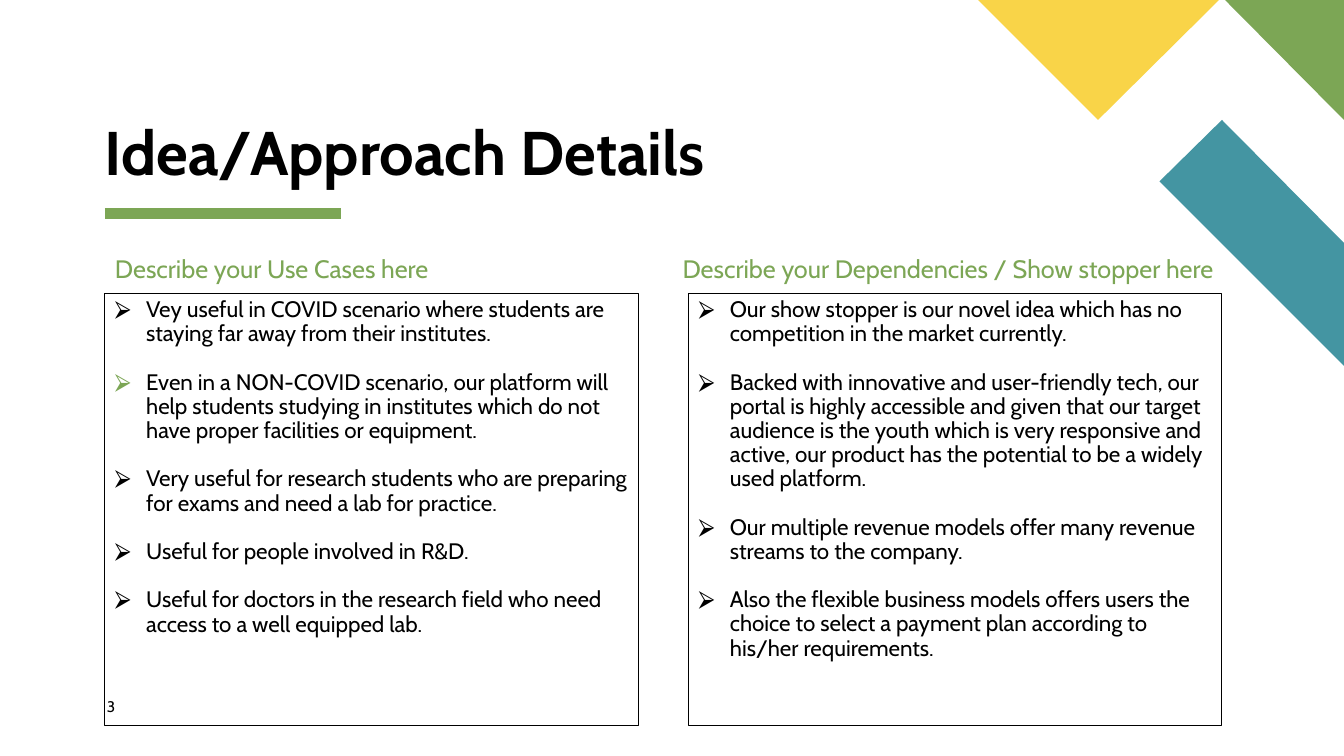
from lxml.etree import SubElement
from pptx import Presentation
from pptx.dml.color import RGBColor
from pptx.enum.shapes import MSO_CONNECTOR
from pptx.enum.text import MSO_ANCHOR, MSO_AUTO_SIZE, PP_ALIGN
from pptx.oxml.ns import qn
from pptx.util import Inches, Pt

BLACK = RGBColor(0x00, 0x00, 0x00)
GREEN = RGBColor(0x7C, 0xA6, 0x55)
TEAL = RGBColor(0x44, 0x95, 0xA2)
YELLOW = RGBColor(0xF9, 0xD4, 0x48)
FONT = "Cabin"

TITLE = "Idea/Approach Details"
PAGE_NUMBER = "3"
# Each column: box left, heading left, heading width, heading, (bullet colour, text) items
COLUMNS = [
    (1.04, 1.04, 5.29, "Describe your Use Cases here", [
        (BLACK, "Vey useful in COVID scenario where students are staying far away "
                "from their institutes."),
        (GREEN, "Even in a NON-COVID scenario, our platform will help students "
                "studying in institutes which do not have proper facilities or equipment."),
        (BLACK, "Very useful for research students who are preparing for exams "
                "and need a lab for practice."),
        (BLACK, "Useful for people involved in R&D."),
        (BLACK, "Useful for doctors in the research field who need access to a "
                "well equipped lab."),
    ]),
    (6.83, 6.67, 5.62, "Describe your Dependencies / Show stopper here", [
        (BLACK, "Our show stopper is our novel idea which has no competition in "
                "the market currently."),
        (BLACK, "Backed with innovative and user-friendly tech, our portal is highly "
                "accessible and given that our target audience is the youth which is "
                "very responsive and active, our product has the potential to be a "
                "widely used platform."),
        (BLACK, "Our multiple revenue models offer many revenue streams to the company."),
        (BLACK, "Also the flexible business models offers users the choice to select "
                "a payment plan according to his/her requirements."),
    ]),
]
CORNER_SHAPES = [
    (TEAL, [(13.33, 3.63), (13.33, 2.41), (12.12, 1.19), (11.5, 1.8)]),
    (GREEN, [(13.33, 1.19), (13.33, 0), (12.15, 0)]),
    (YELLOW, [(9.7, 0), (10.89, 1.19), (12.09, 0)]),
]


def place(shape, left, top, width, height):
    shape.left, shape.top = Inches(left), Inches(top)
    shape.width, shape.height = Inches(width), Inches(height)


def prepare_frame(shape, anchor=MSO_ANCHOR.TOP, inset=(0.1, 0.05)):
    """Set wrapping, anchor and (horizontal, vertical) inset; return the frame."""
    frame = shape.text_frame
    frame.word_wrap = True
    frame.auto_size = MSO_AUTO_SIZE.NONE
    frame.vertical_anchor = anchor
    frame.margin_left = frame.margin_right = Inches(inset[0])
    frame.margin_top = frame.margin_bottom = Inches(inset[1])
    return frame


def write(paragraph, text, size, color, bold=False, line_spacing=0.9):
    paragraph.alignment = PP_ALIGN.LEFT
    paragraph.line_spacing = line_spacing
    paragraph.space_before = Pt(0)
    run = paragraph.add_run()
    run.text = text
    run.font.name, run.font.size, run.font.bold = FONT, Pt(size), bold
    run.font.color.rgb = color


def add_bullet(paragraph, color):
    properties = paragraph._p.get_or_add_pPr()
    properties.set("marL", str(Inches(0.31)))
    properties.set("indent", str(-Inches(0.31)))
    bullet_color = SubElement(properties, qn("a:buClr"))
    SubElement(bullet_color, qn("a:srgbClr"), val=str(color))
    SubElement(properties, qn("a:buChar"), char="⮚")


def add_corner_shape(slide, color, points):
    corners = [(Inches(x), Inches(y)) for x, y in points]
    builder = slide.shapes.build_freeform(*corners[0])
    builder.add_line_segments(corners[1:], close=True)
    shape = builder.convert_to_shape()
    shape.shadow.inherit = False
    shape.fill.solid()
    shape.fill.fore_color.rgb = color
    shape.line.fill.background()


def add_title_rule(slide):
    rule = slide.shapes.add_connector(
        MSO_CONNECTOR.STRAIGHT, Inches(1.04), Inches(2.12), Inches(3.38), Inches(2.12))
    rule.line.color.rgb = GREEN
    rule.line.width = Pt(8)
    SubElement(rule._element.spPr, qn("a:effectLst"))


def fill_column(heading_shape, box, column):
    box_left, heading_left, heading_width, heading, items = column
    place(heading_shape, heading_left, 2.5, heading_width, 0.35)
    write(prepare_frame(heading_shape).paragraphs[0], heading, 18, GREEN)

    place(box, box_left, 2.91, 5.29, 4.29)
    box.line.color.rgb = BLACK
    box.line.width = Pt(0.75)
    frame = prepare_frame(box)
    for index, (bullet_color, text) in enumerate(items):
        paragraph = frame.add_paragraph() if index else frame.paragraphs[0]
        write(paragraph, text, 16, BLACK)
        paragraph.space_after = Pt(17.3)
        add_bullet(paragraph, bullet_color)


def main():
    presentation = Presentation()
    presentation.slide_width = Inches(13.33)
    presentation.slide_height = Inches(7.5)
    comparison_layout = presentation.slide_layouts[4]
    slide = presentation.slides.add_slide(comparison_layout)

    add_title_rule(slide)
    for color, points in CORNER_SHAPES:
        add_corner_shape(slide, color, points)

    title = slide.shapes.title
    place(title, 1.04, 1.2, 6.32, 0.67)
    title_frame = prepare_frame(title, MSO_ANCHOR.BOTTOM, (0, 0))
    write(title_frame.paragraphs[0], TITLE, 44, BLACK, bold=True)

    title_shape, *bodies = slide.placeholders
    for heading_shape, box, column in zip(bodies[::2], bodies[1::2], COLUMNS):
        fill_column(heading_shape, box, column)

    number = slide.shapes.add_textbox(Inches(1.06), Inches(6.92), Inches(0.57), Inches(0.27))
    number_frame = prepare_frame(number, inset=(0, 0))
    write(number_frame.paragraphs[0], PAGE_NUMBER, 11, BLACK, line_spacing=1.0)

    presentation.save("out.pptx")


if __name__ == "__main__":
    main()
